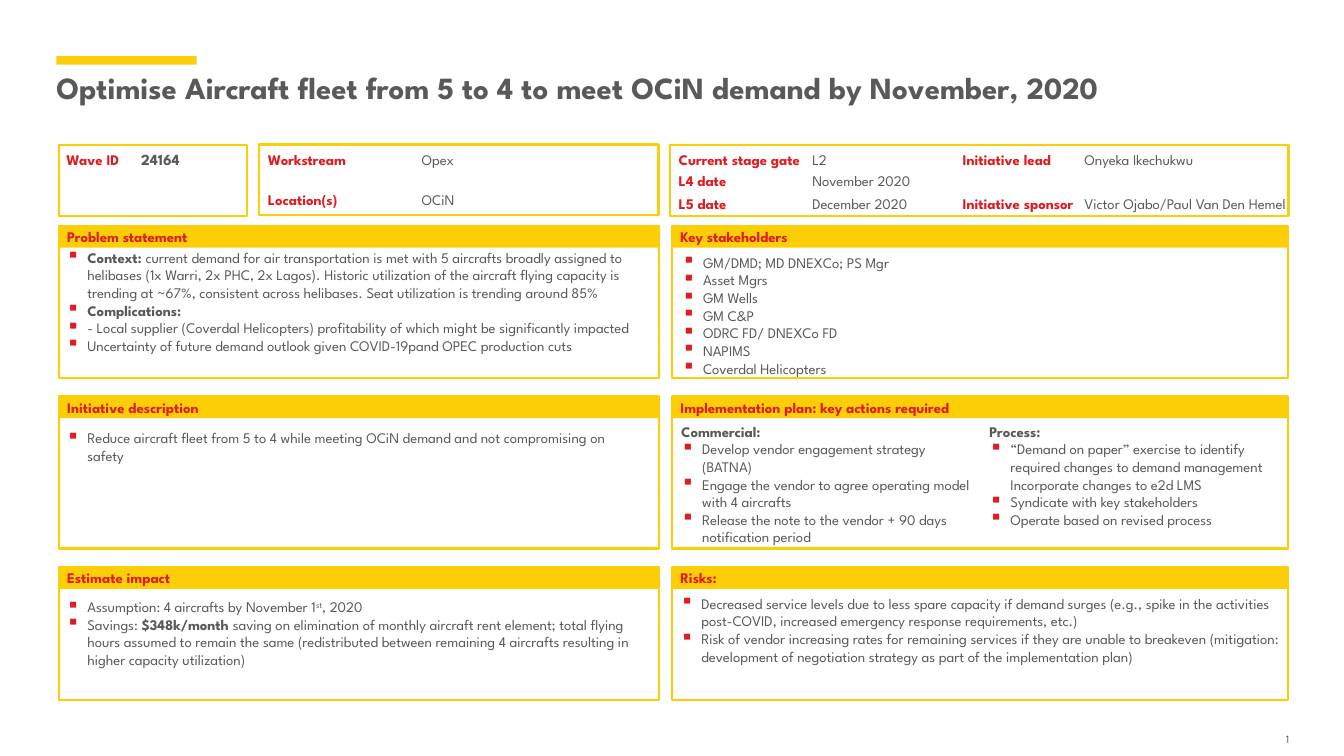
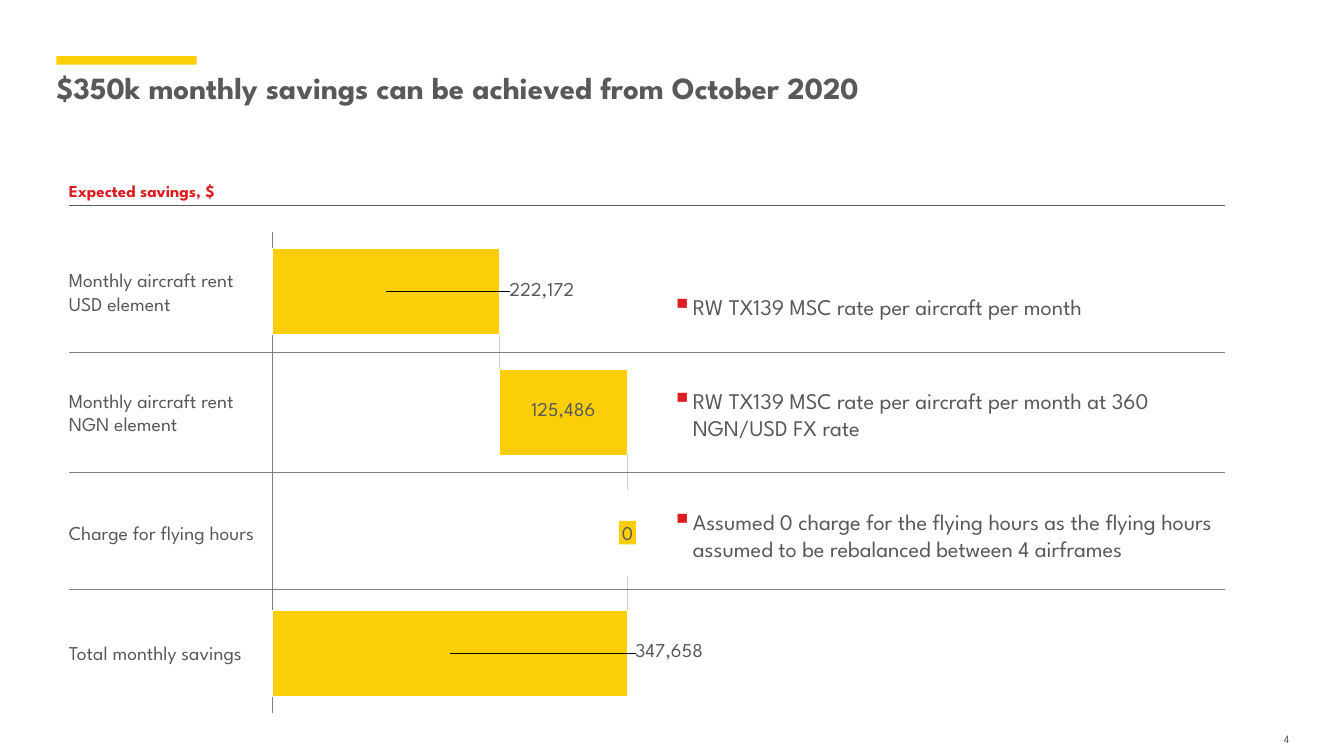
from dataclasses import dataclass
from typing import NamedTuple

from lxml import etree
from pptx import Presentation
from pptx.chart.data import CategoryChartData
from pptx.dml.color import RGBColor
from pptx.enum import chart as charts, shapes, text
from pptx.oxml import ns
from pptx import util as u

# Shared look: a grid of 160 columns by 90 rows
COLS, ROWS = 160, 90
CELL = u.Inches(1) // 12
FONT = "League Spartan"
HUES = {"gold": "FBCE07", "red": "DD1D21", "ink": "595959",
        "rule": "808080", "link": "D0D0D0", "white": "FFFFFF"}
SMALL, LARGE = 10.5, 16
TOP, MID, LOW = text.MSO_ANCHOR.TOP, text.MSO_ANCHOR.MIDDLE, text.MSO_ANCHOR.BOTTOM
LEFT, RIGHT, CENTER = text.PP_ALIGN.LEFT, text.PP_ALIGN.RIGHT, text.PP_ALIGN.CENTER


class Box(NamedTuple):
    x: float
    y: float
    w: float
    h: float


class Bit(NamedTuple):
    words: str
    bold: bool = False
    raised: bool = False


@dataclass
class Para:
    bits: list[Bit]
    dot: bool = True


@dataclass
class Style:
    size: float = SMALL
    hue: str = "ink"
    bold: bool = False
    align: int = LEFT
    anchor: int = TOP
    wrap: bool = True


@dataclass
class Panel:
    side: int
    row: int
    head: str


@dataclass
class Body:
    x: float
    y: float
    w: float
    paras: list[Para]


class Field(NamedTuple):
    x: float
    y: float
    words: str
    label: bool = False


def cells(count: float) -> int:
    return round(count * CELL)


def place(box: Box) -> list[int]:
    return [cells(side) for side in box]


def color(hue: str) -> RGBColor:
    return RGBColor.from_string(HUES[hue])


def plain(words: str, dot: bool = False) -> Para:
    return Para([Bit(words)], dot)


def dots(*lines: str) -> list[Para]:
    return [plain(line, True) for line in lines]


# Text
def add_dot(para) -> None:
    props = para._p.get_or_add_pPr()
    props.set("marL", str(cells(2.5)))
    props.set("indent", str(-cells(2.5)))
    tint = etree.SubElement(props, ns.qn("a:buClr"))
    etree.SubElement(tint, ns.qn("a:srgbClr"), val=HUES["red"])
    etree.SubElement(props, ns.qn("a:buSzPct"), val="125000")
    etree.SubElement(props, ns.qn("a:buChar"), char="▪")


def write(frame, paras: list[Para], style: Style, inset: float = 0) -> None:
    frame.auto_size = text.MSO_AUTO_SIZE.NONE
    frame.word_wrap = style.wrap
    frame.vertical_anchor = style.anchor
    frame.margin_left = frame.margin_right = cells(inset)
    frame.margin_top = frame.margin_bottom = 0
    for i, item in enumerate(paras):
        para = frame.add_paragraph() if i else frame.paragraphs[0]
        para.alignment = style.align
        if item.dot:
            add_dot(para)
        for bit in item.bits:
            run = para.add_run()
            run.text = bit.words
            run.font.name, run.font.size = FONT, u.Pt(style.size)
            run.font.bold = style.bold or bit.bold
            run.font.color.rgb = color(style.hue)
            if bit.raised:
                run._r.get_or_add_rPr().set("baseline", "30000")


def add_text(slide, box: Box, paras: list[Para], style: Style) -> None:
    write(slide.shapes.add_textbox(*place(box)).text_frame, paras, style)


# Shapes
def add_box(slide, box: Box, fill: str, line: str = ""):
    shape = slide.shapes.add_shape(shapes.MSO_SHAPE.RECTANGLE, *place(box))
    shape.shadow.inherit = False
    shape.fill.solid()
    shape.fill.fore_color.rgb = color(fill)
    if line:
        shape.line.color.rgb = color(line)
        shape.line.width = u.Pt(1.5)
    else:
        shape.line.fill.background()
    return shape


def add_line(slide, x: float, y: float, w: float, h: float, hue: str) -> None:
    ends = [cells(n) for n in (x, y, x + w, y + h)]
    line = slide.shapes.add_connector(shapes.MSO_CONNECTOR.STRAIGHT, *ends)
    line.line.color.rgb = color(hue)
    line.line.width = u.Pt(0.75)
    etree.SubElement(line._element.spPr, ns.qn("a:effectLst"))


def start(deck, title: str, page: str):
    slide = deck.slides.add_slide(deck.slide_layouts[5])
    add_box(slide, Box(6.7, 6.7, 16.7, 1), "gold")
    head = slide.shapes.title
    head.left, head.top, head.width, head.height = place(Box(6.7, 8.2, 150, 7))
    write(head.text_frame, [plain(title)], Style(22, bold=True))
    add_text(slide, Box(149.5, 87.2, 4, 1.6), [plain(page)],
             Style(8, align=RIGHT, anchor=LOW))
    return slide


# Slide 1: charter
SIDES = [(7, 71.5), (80, 73.4)]
HIGH = [18.1, 18.1, 15.8]
CARDS = [Box(79.8, 17.3, 73.6, 8.4), Box(7, 17.3, 22.4, 8.4),
         Box(30.8, 17.2, 47.6, 8.4)]
PANELS = [
    Panel(0, 0, "Problem statement"), Panel(1, 0, "Key stakeholders"),
    Panel(0, 1, "Initiative description"),
    Panel(1, 1, "Implementation plan: key actions required"),
    Panel(0, 2, "Estimate impact"), Panel(1, 2, "Risks:"),
]
FIELDS = [
    Field(7.9, 17.9, "Wave ID", True),
    Field(31.9, 17.9, "Workstream", True), Field(50.2, 17.9, "Opex"),
    Field(31.9, 22.7, "Location(s)", True), Field(50.2, 22.7, "OCiN"),
    Field(80.8, 17.9, "Current stage gate", True), Field(96.7, 17.9, "L2"),
    Field(80.8, 20.5, "L4 date", True), Field(96.7, 20.5, "November 2020"),
    Field(80.8, 23.2, "L5 date", True), Field(96.7, 23.2, "December 2020"),
    Field(114.6, 17.9, "Initiative lead", True),
    Field(129.1, 17.9, "Onyeka Ikechukwu"),
    Field(114.6, 23.2, "Initiative sponsor", True),
    Field(129.1, 23.2, "Victor Ojabo/Paul Van Den Hemel"),
]
BODIES = [
    Body(7.9, 29.6, 68.8, [
        Para([Bit("Context:", True), Bit(
            " current demand for air transportation is met with 5 aircrafts broadly "
            "assigned to helibases (1x Warri, 2x PHC, 2x Lagos). Historic utilization "
            "of the aircraft flying capacity is trending at ~67%, consistent across "
            "helibases. Seat utilization is trending around 85%")]),
        Para([Bit("Complications:", True)]),
        *dots("- Local supplier (Coverdal Helicopters) profitability of which might be "
              "significantly impacted",
              "Uncertainty of future demand outlook given COVID-19pand OPEC "
              "production cuts")]),
    Body(7.9, 51.1, 68.8, dots(
        "Reduce aircraft fleet from 5 to 4 while meeting OCiN demand and not "
        "compromising on safety")),
    Body(7.9, 71.2, 68.8, [
        Para([Bit("Assumption: 4 aircrafts by November 1"),
              Bit("st", raised=True), Bit(", 2020")]),
        Para([Bit("Savings: "), Bit("$348k/month ", True), Bit(
            "saving on elimination of monthly aircraft rent element; total flying "
            "hours assumed to remain the same (redistributed between remaining 4 "
            "aircrafts resulting in higher capacity utilization)")])]),
    Body(81.2, 30.2, 71.3, dots(
        "GM/DMD; MD DNEXCo; PS Mgr", "Asset Mgrs", "GM Wells", "GM C&P",
        "ODRC FD/ DNEXCo FD", "NAPIMS", "Coverdal Helicopters")),
    Body(81.1, 50.3, 35.2, [
        Para([Bit("Commercial:", True)], False),
        *dots("Develop vendor engagement strategy (BATNA)",
              "Engage the vendor to agree operating model with 4 aircrafts",
              "Release the note to the vendor + 90 days notification period")]),
    Body(117.8, 50.3, 35.2, [
        Para([Bit("Process:", True)], False),
        *dots("“Demand on paper” exercise to identify required changes to demand "
              "management Incorporate changes to e2d LMS",
              "Syndicate with key stakeholders",
              "Operate based on revised process")]),
    Body(81, 70.8, 71.3, dots(
        "Decreased service levels due to less spare capacity if demand surges (e.g., "
        "spike in the activities post-COVID, increased emergency response "
        "requirements, etc.)",
        "Risk of vendor increasing rates for remaining services if they are unable to "
        "breakeven (mitigation: development of negotiation strategy as part of the "
        "implementation plan)")),
]


def draw_plan(deck) -> None:
    slide = start(deck, "Optimise Aircraft fleet from 5 to 4 to meet OCiN demand "
                        "by November, 2020", "1")
    for card in CARDS:
        add_box(slide, card, "white", "gold")
    for x, y, words, label in FIELDS:
        style = Style(hue="red" if label else "ink", bold=label, wrap=False)
        add_text(slide, Box(x, y, 10, 2), [plain(words)], style)
    add_text(slide, Box(16.8, 17.9, 10, 2), [plain("24164")],
             Style(11, bold=True, wrap=False))
    for panel in PANELS:
        x, w = SIDES[panel.side]
        y = 26.9 + 20.3 * panel.row
        add_box(slide, Box(x, y, w, HIGH[panel.row]), "white", "gold")
        band = add_box(slide, Box(x, y, w, 2.6), "gold")
        write(band.text_frame, [plain(panel.head)],
              Style(hue="red", bold=True, anchor=MID), 1)
    for body in BODIES:
        add_text(slide, Box(body.x, body.y, body.w, 13), body.paras, Style())


# Slide 2: savings bridge
FRAME = Box(26.8, 26.5, 58, 59.5)
PLOT = Box(0.098, 0.018, 0.728, 0.964)
RENT, LOCAL, TOTAL = 222172, 125486, 347658
STEP = PLOT.h * FRAME.h / 4
GAP = STEP * 0.4 / 1.4
NAMES = [["Monthly aircraft rent", "USD element"],
         ["Monthly aircraft rent", "NGN element"],
         ["Charge for flying hours"], ["Total monthly savings"]]
NOTES = [(34.9, "RW TX139 MSC rate per aircraft per month"),
         (46.1, "RW TX139 MSC rate per aircraft per month at 360 NGN/USD FX rate"),
         (60.5, "Assumed 0 charge for the flying hours as the flying hours assumed to "
                "be rebalanced between 4 airframes")]


def row_top(row: float) -> float:
    return FRAME.y + PLOT.y * FRAME.h + STEP * row


def set_place(parent, spot: int, **parts) -> None:
    layout = etree.Element(ns.qn("c:layout"))
    manual = etree.SubElement(layout, ns.qn("c:manualLayout"))
    for tag, value in parts.items():
        etree.SubElement(manual, ns.qn("c:" + tag), val=str(value))
    parent.insert(spot, layout)


def paint(part, fill: str) -> None:
    part.format.fill.solid()
    part.format.fill.fore_color.rgb = color(fill)
    part.format.line.color.rgb = color("white")
    part.format.line.width = u.Pt(0.75)


def add_label(series, index: int, shift: float = 0) -> None:
    label = series.points[index].data_label
    label.font.size, label.font.name = u.Pt(14), FONT
    label.font.color.rgb = color("ink")
    label.position = charts.XL_LABEL_POSITION.CENTER
    if shift:
        set_place(label._get_or_add_dLbl(), 1, x=shift, y=0)


def add_bars(slide) -> None:
    data = CategoryChartData(number_format="#,##0")
    data.categories = ["1", "2", "3", "4"]
    data.add_series("Series 1", [RENT, RENT, TOTAL, TOTAL])
    data.add_series("Series 2", [None, LOCAL, 0, None])
    chart = slide.shapes.add_chart(charts.XL_CHART_TYPE.BAR_STACKED,
                                   *place(FRAME), data).chart
    chart.has_legend = chart.has_title = False
    chart.font.name, chart.font.size = FONT, u.Pt(10)
    chart.font.color.rgb = color("ink")
    axis, scale = chart.category_axis, chart.value_axis
    axis.reverse_order = True
    axis.tick_label_position = charts.XL_TICK_LABEL_POSITION.NONE
    axis.major_tick_mark = charts.XL_TICK_MARK.NONE
    axis.format.line.color.rgb = color("rule")
    axis.format.line.width = u.Pt(0.75)
    scale.minimum_scale, scale.maximum_scale = 0, TOTAL
    scale.has_major_gridlines = scale.visible = False
    plot = chart.plots[0]
    plot.gap_width, plot.overlap, plot.vary_by_categories = 40, 100, False
    base, rise = plot.series
    base.format.fill.background()
    paint(rise, "gold")
    for index, shift in ((0, 0.32), (3, 0.45)):
        paint(base.points[index], "gold")
        add_label(base, index, shift)
    add_label(rise, 1)
    for series in (base, rise):
        series.data_labels.show_value = False
    area = chart.element.xpath(".//c:plotArea")[0]
    for old in area.findall(ns.qn("c:layout")):
        area.remove(old)
    set_place(area, 0, layoutTarget="inner", xMode="edge", yMode="edge", **PLOT._asdict())


def draw_bridge(deck) -> None:
    slide = start(deck, "$350k monthly savings can be achieved from October 2020", "4")
    add_bars(slide)
    left = FRAME.x + PLOT.x * FRAME.w
    end = left + PLOT.w * FRAME.w
    for row, x in enumerate((left + PLOT.w * FRAME.w * RENT / TOTAL, end, end), 1):
        add_line(slide, x, row_top(row) - GAP / 2, 0, GAP, "link")
    for y, hue in ((24.5, "ink"), (42, "rule"), (56.3, "rule"), (70.2, "rule")):
        add_line(slide, 8.2, y, 137.6, 0, hue)
    add_text(slide, Box(8.2, 21.5, 137.6, 2.4), [plain("Expected savings, $")],
             Style(12, "red", True, anchor=LOW))
    for row, lines in enumerate(NAMES):
        add_text(slide, Box(8.2, row_top(row + 0.5) - 2.8, 23, 5.6),
                 [plain(line) for line in lines], Style(14, anchor=MID, wrap=False))
    tag = add_box(slide, Box(end - 1, row_top(2.5) - 1.4, 2, 2.8), "gold")
    write(tag.text_frame, [plain("0")], Style(14, align=CENTER, anchor=MID, wrap=False))
    for y, words in NOTES:
        add_text(slide, Box(80, y, 65.2, 6.5), dots(words), Style(LARGE))


def main() -> None:
    deck = Presentation()
    deck.slide_width, deck.slide_height = cells(COLS), cells(ROWS)
    draw_plan(deck)
    draw_bridge(deck)
    deck.save("out.pptx")


if __name__ == "__main__":
    main()
